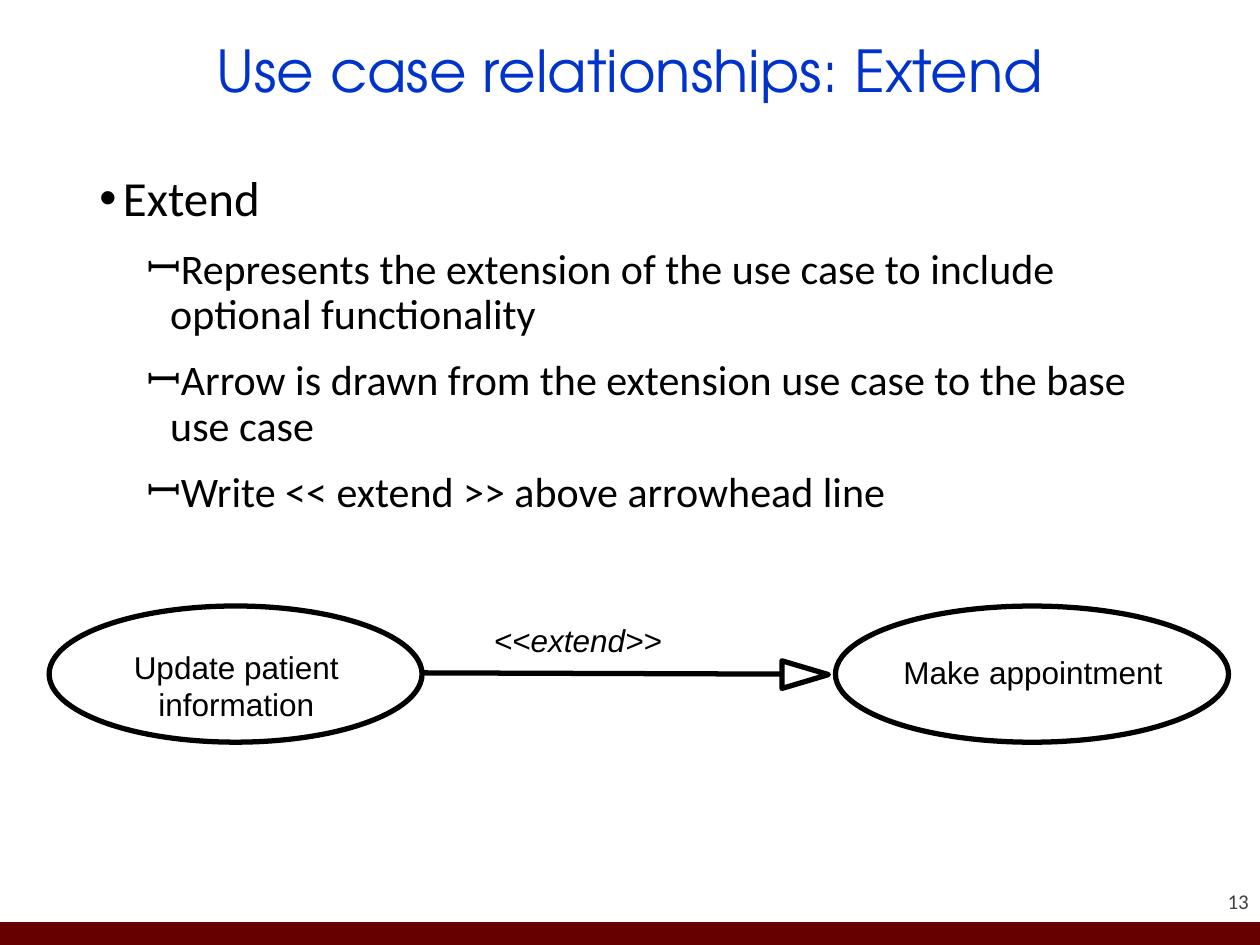
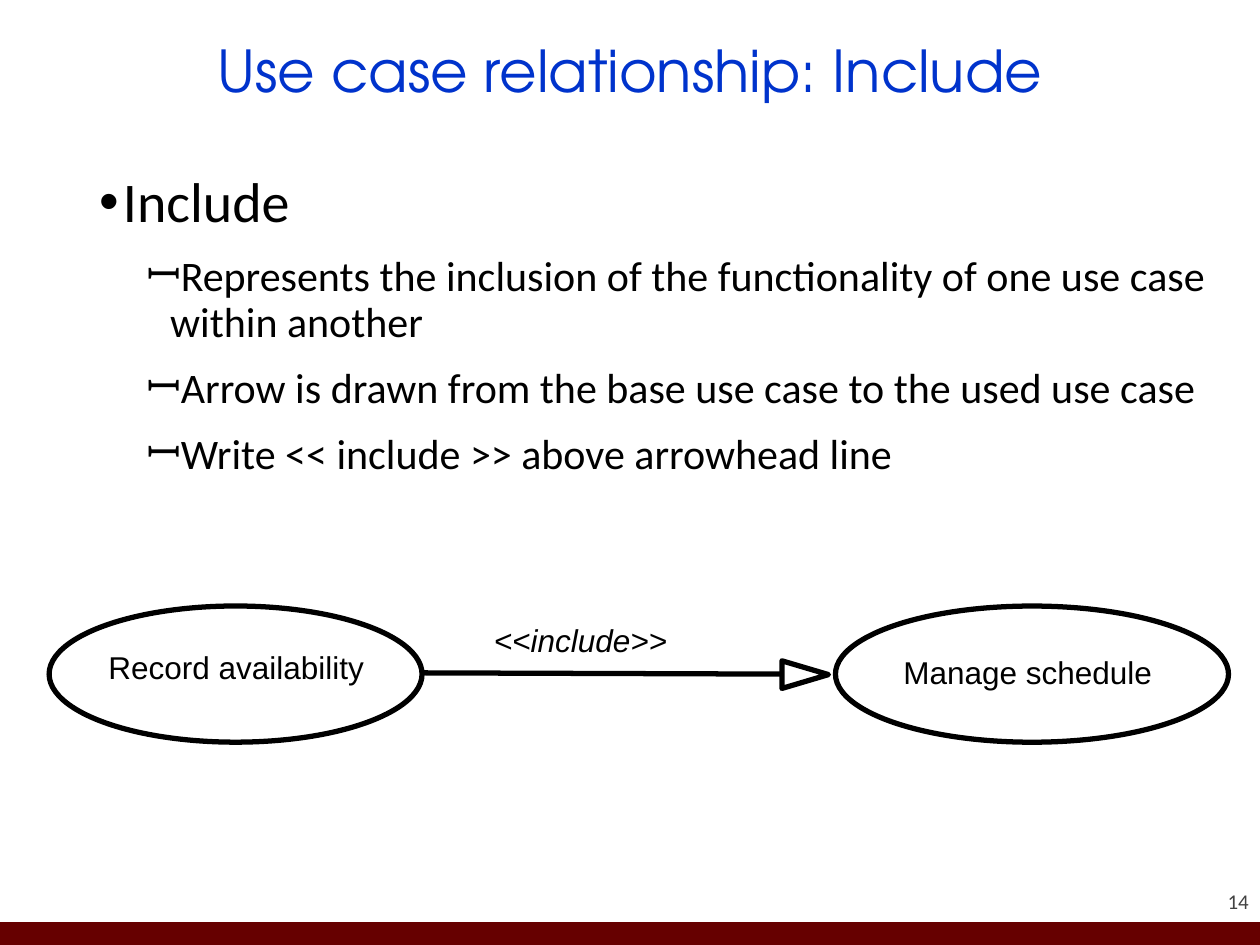
from lxml import etree
from pptx import Presentation
from pptx.dml.color import RGBColor
from pptx.enum.shapes import MSO_CONNECTOR, MSO_SHAPE
from pptx.enum.text import MSO_ANCHOR, MSO_AUTO_SIZE, PP_ALIGN
from pptx.oxml.ns import qn
from pptx.util import Pt

LEFT, CENTER, RIGHT = PP_ALIGN.LEFT, PP_ALIGN.CENTER, PP_ALIGN.RIGHT
TOP, MIDDLE, BOTTOM = MSO_ANCHOR.TOP, MSO_ANCHOR.MIDDLE, MSO_ANCHOR.BOTTOM
RECTANGLE, ELLIPSE = MSO_SHAPE.RECTANGLE, MSO_SHAPE.OVAL
TRIANGLE = MSO_SHAPE.ISOSCELES_TRIANGLE
STRAIGHT, NO_AUTOSIZE = MSO_CONNECTOR.STRAIGHT, MSO_AUTO_SIZE.NONE

SLIDES = [
    {
        "number": "13",
        "title": "Use case relationships: Extend",
        "heading": "Extend",
        "heading_size": 28,
        "body_size": (637.2, 390.2),
        "points": [
            "Represents the extension of the use case to include optional functionality",
            "Arrow is drawn from the extension use case to the base use case",
            "Write << extend >> above arrowhead line",
        ],
        "source_case": "Update patient information",
        "target_case": "Make appointment",
        "relation": "<<extend>>",
    },
    {
        "number": "14",
        "title": "Use case relationship: Include",
        "heading": "Include",
        "heading_size": 32,
        "body_size": (646.6, 216),
        "points": [
            "Represents the inclusion of the functionality of one use case within another",
            "Arrow is drawn from the base use case to the used use case",
            "Write << include >> above arrowhead line",
        ],
        "source_case": "Record availability",
        "target_case": "Manage schedule",
        "relation": "<<include>>",
    },
]

COLORS = {"title": "0033CC", "text": "000000", "number": "424242", "band": "660000"}
FONTS = {"title": "TeX Gyre Adventor", "body": "Calibri", "diagram": "Arial"}
SLIDE_SIZE = (720, 540)
MARGIN = 49.7
BAND_HEIGHT = 13
BULLET_HANG = 13.5
BULLETS = [("•", "Arial", 13.5), ("ꟷ", "Calibri", 40.5)]
CASE_TOP, CASE_HEIGHT = 346.3, 77.8
LINE_WIDTH = 3


def color(name):
    return RGBColor.from_string(COLORS[name])


def points(*lengths):
    return [Pt(length) for length in lengths]


def format_font(paragraph, font_name, size, color_name, italic=False):
    for run in paragraph.runs:
        run.font.name = FONTS[font_name]
        run.font.size = Pt(size)
        run.font.color.rgb = color(color_name)
        run.font.italic = italic


def add_text(slide, box, text, font_name, size, color_name,
             alignment=LEFT, anchor=TOP, wrap=True, italic=False):
    frame = slide.shapes.add_textbox(*points(*box)).text_frame
    frame.margin_left = frame.margin_right = frame.margin_top = frame.margin_bottom = 0
    frame.word_wrap = wrap
    frame.vertical_anchor = anchor
    frame.text = text
    paragraph = frame.paragraphs[0]
    paragraph.alignment = alignment
    format_font(paragraph, font_name, size, color_name, italic)


def add_band_and_number(slide, number):
    width, height = SLIDE_SIZE
    band = slide.shapes.add_shape(
        RECTANGLE, *points(0, height - BAND_HEIGHT, width, BAND_HEIGHT))
    band.shadow.inherit = False
    band.fill.solid()
    band.fill.fore_color.rgb = color("band")
    band.line.fill.background()
    add_text(slide, (653.8, 493.2, 59.8, 28.8), number, "body", 12, "number",
             RIGHT, BOTTOM)


def set_title(slide, text):
    title = slide.shapes.title
    title.left, title.top, title.width, title.height = points(MARGIN, 8.6, 620.6, 67.7)
    frame = title.text_frame
    frame.text = text
    frame.auto_size = NO_AUTOSIZE
    frame.vertical_anchor = MIDDLE
    paragraph = frame.paragraphs[0]
    paragraph.alignment = CENTER
    paragraph.line_spacing = 0.9
    format_font(paragraph, "title", 33, "title")


def set_bullet(paragraph, level):
    character, typeface, indent = BULLETS[level]
    properties = paragraph._p.get_or_add_pPr()
    properties.set("marL", str(Pt(indent)))
    properties.set("indent", str(-Pt(BULLET_HANG)))
    etree.SubElement(properties, qn("a:buFont")).set("typeface", typeface)
    etree.SubElement(properties, qn("a:buChar")).set("char", character)


def add_body(slide, content):
    frame = slide.shapes.add_textbox(
        *points(MARGIN, 95.8, *content["body_size"])).text_frame
    frame.word_wrap = True
    lines = [(0, content["heading"], content["heading_size"])]
    lines += [(1, text, 24) for text in content["points"]]
    for index, (level, text, size) in enumerate(lines):
        paragraph = frame.add_paragraph() if index else frame.paragraphs[0]
        paragraph.text = text
        paragraph.level = level
        set_bullet(paragraph, level)
        paragraph.line_spacing = 0.9
        paragraph.space_before = Pt(6 if index else 0)
        paragraph.space_after = Pt(6)
        format_font(paragraph, "body", size, "text")


def add_outline(slide, preset, box):
    shape = slide.shapes.add_shape(preset, *points(*box))
    shape.shadow.inherit = False
    shape.fill.background()
    shape.line.color.rgb = color("text")
    shape.line.width = Pt(LINE_WIDTH)
    return shape


def add_diagram(slide, content):
    for left, width in ((28.1, 213.1), (477.4, 224.6)):
        add_outline(slide, ELLIPSE, (left, CASE_TOP, width, CASE_HEIGHT))

    line = slide.shapes.add_connector(STRAIGHT, *points(241.2, 384.5, 447.1, 385.2))
    line.line.color.rgb = color("text")
    line.line.width = Pt(LINE_WIDTH)
    etree.SubElement(line._element.spPr, qn("a:effectLst"))
    arrowhead = add_outline(slide, TRIANGLE, (452.2, 372.2, 15.8, 26.6))
    arrowhead.rotation = 90

    labels = [
        ("source_case", (58.3, 370.1, 153.4, 43.9), CENTER, True, False),
        ("target_case", (516.2, 373, 149.8, 21.6), LEFT, False, False),
        ("relation", (282.2, 355, 100, 21.6), LEFT, False, True),
    ]
    for key, box, alignment, wrap, italic in labels:
        add_text(slide, box, content[key], "diagram", 18, "text",
                 alignment, wrap=wrap, italic=italic)


def main():
    presentation = Presentation()
    presentation.slide_width, presentation.slide_height = points(*SLIDE_SIZE)
    title_only = presentation.slide_layouts[5]
    for content in SLIDES:
        slide = presentation.slides.add_slide(title_only)
        add_band_and_number(slide, content["number"])
        set_title(slide, content["title"])
        add_body(slide, content)
        add_diagram(slide, content)
    presentation.save("out.pptx")


if __name__ == "__main__":
    main()
